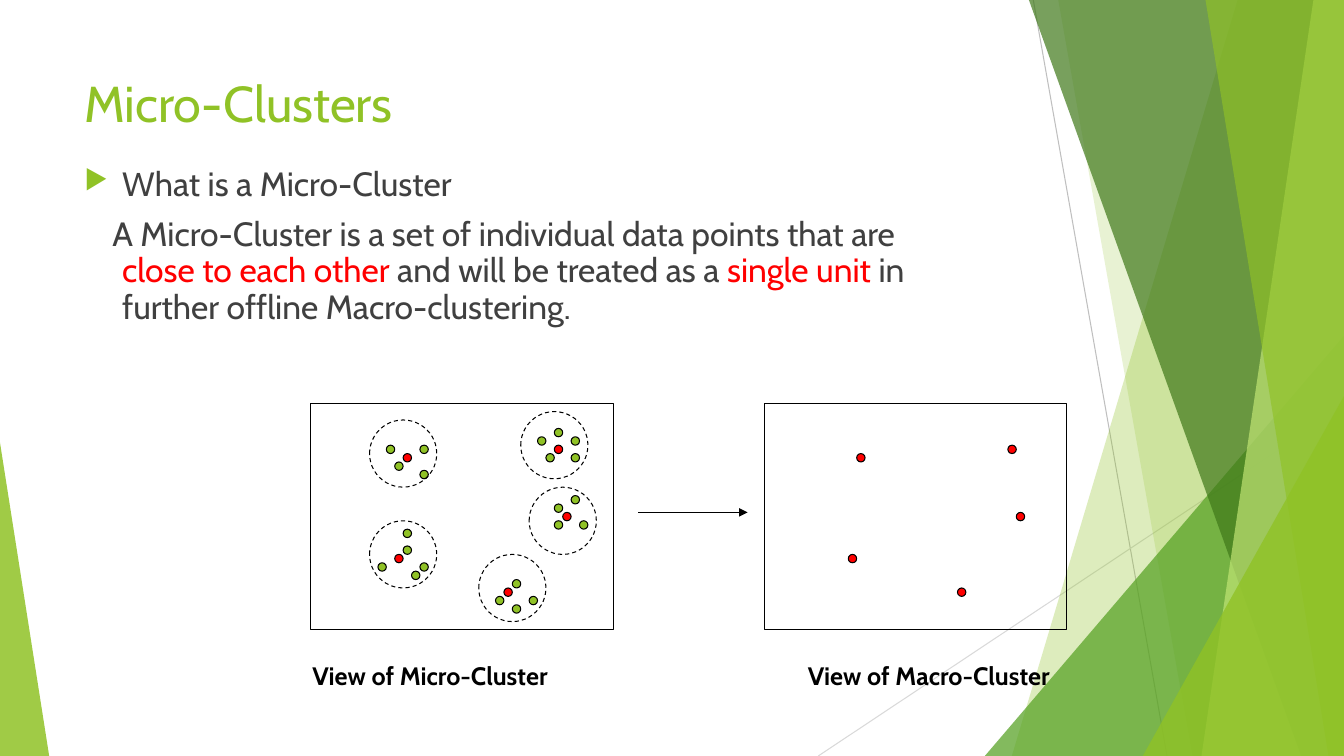
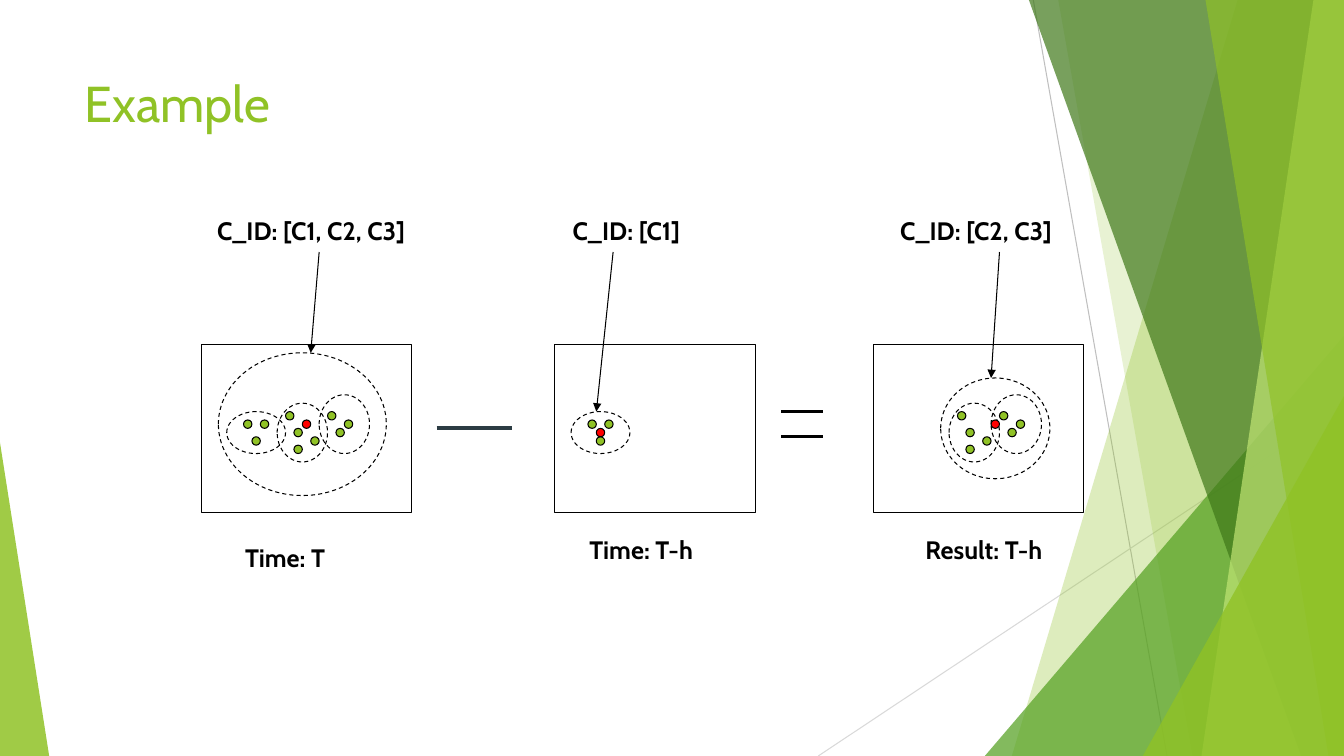
from dataclasses import dataclass

from lxml.etree import SubElement
from pptx import Presentation
from pptx.dml.color import RGBColor
from pptx.enum.dml import MSO_LINE
from pptx.enum.shapes import MSO_CONNECTOR, MSO_SHAPE
from pptx.enum.text import MSO_ANCHOR, MSO_AUTO_SIZE
from pptx.oxml.ns import qn
from pptx.util import Cm, Pt


@dataclass(frozen=True)
class Theme:
    font: str = "Cabin"
    green: str = "90C226"
    leaf: str = "54A021"
    forest: str = "3F7819"
    lime: str = "C0E474"
    red: str = "FF0000"
    body: str = "404040"
    black: str = "000000"
    slate: str = "2C3C43"
    ray: str = "BFBFBF"
    pale_ray: str = "D9D9D9"
    title_size: int = 36
    body_size: int = 24
    label_size: int = 18
    hairline: float = 0.75
    equals_line: float = 2
    minus_line: float = 2.75


THEME = Theme()
WIDTH, HEIGHT = 33.87, 19.05
GRID = 2.54 / 12

RAYS = [
    ((26.04, 0), (29.41, HEIGHT), THEME.ray),
    ((WIDTH, 10.24), (20.62, HEIGHT), THEME.pale_ray),
]
FACETS = [
    ("band", 31.19, 25.5, THEME.green, 30),
    ("band", 26.67, 30.05, THEME.green, 20),
    ("corner", 24.82, 8.46, THEME.leaf, 72),
    ("band", 25.93, 32.79, THEME.forest, 70),
    ("band", 33.1, 30.28, THEME.lime, 70),
    ("band", 30.38, 33.48, THEME.green, 65),
    ("corner", 28.8, 9.98, THEME.green, 80),
]
LEFT_WEDGE = (11.15, 1.24, THEME.green, 85)

QUESTION = "What is a Micro-Cluster"
DEFINITION = [
    ("A Micro-Cluster is a set of individual data points that are ", THEME.body),
    ("close to each other", THEME.red),
    (" and will be treated as a ", THEME.body),
    ("single unit", THEME.red),
    (" in further offline Macro-clustering.", THEME.body),
]

MICRO_VIEW = (37, 48, 36, 27)
MACRO_SHIFT = 54
RING = 8
MICRO_CLUSTERS = [
    {"ring": (44, 50), "centre": (48, 54),
     "points": [(46, 53), (50, 53), (47, 55), (50, 56)]},
    {"ring": (62, 49), "centre": (66, 53),
     "points": [(68, 52), (68, 54), (64, 52), (65, 54), (66, 51)]},
    {"ring": (63, 58), "centre": (67, 61),
     "points": [(68, 59), (66, 62), (66, 60), (69, 62)]},
    {"ring": (44, 62), "centre": (47, 66),
     "points": [(48, 65), (45, 67), (49, 68), (48, 63), (50, 67)]},
    {"ring": (57, 66), "centre": (60, 70),
     "points": [(61, 72), (63, 71), (59, 71), (61, 69)]},
]
VIEW_CAPTIONS = [
    ("View of Micro-Cluster", 36, 78, 37),
    ("View of Macro-Cluster", 95, 78, 37),
]
VIEW_ARROW = ((76, 61), (89, 61))

CLUSTERS = {
    "C1": {"ring": (27, 49, 7, 5), "points": [(29, 50), (31, 50), (30, 52)]},
    "C2": {"ring": (33, 48, 6, 7),
           "points": [(35, 53), (35, 51), (34, 49), (37, 52)]},
    "C3": {"ring": (38, 47, 6, 7), "points": [(39, 49), (40, 51), (41, 50)]},
}
SNAPSHOTS = [
    {"frame": (24, 41, 25, 20), "members": ["C1", "C2", "C3"], "shift": 0,
     "outer": (26, 42, 20, 17), "centre": (36, 50), "tick": (27, 58),
     "arrow": ((38, 30), (37, 42)),
     "labels": [(" C_ID: [C1, C2, C3]", 24, 25, 30), ("Time: T", 28, 64, 17)]},
    {"frame": (66, 41, 24, 20), "members": ["C1"], "shift": 41,
     "outer": None, "centre": (71, 51), "tick": (68, 58),
     "arrow": ((73, 30), (71, 49)),
     "labels": [("C_ID: [C1]", 67, 25, 16), ("Time: T-h", 69, 63, 17)]},
    {"frame": (104, 41, 25, 20), "members": ["C2", "C3"], "shift": 80,
     "outer": (112, 45, 13, 12), "centre": (118, 50), "tick": (107, 58),
     "arrow": ((119, 30), (118, 45)),
     "labels": [("C_ID: [C2, C3]", 106, 25, 23), ("Result: T-h", 109, 63, 21)]},
]
OPERATORS = [
    ((52, 51), (61, 51), THEME.slate, THEME.minus_line),
    ((93, 49), (98, 49), THEME.black, THEME.equals_line),
    ((93, 52), (98, 52), THEME.black, THEME.equals_line),
]


def rgb(code):
    return RGBColor.from_string(code)


def grid(*units):
    return [Cm(unit * GRID) for unit in units]


def style_font(font, size, color, bold=False):
    font.name, font.size, font.bold = THEME.font, Pt(size), bold
    font.color.rgb = rgb(color)


def add_line(slide, start, end, color=THEME.black, width=THEME.hairline, arrow=False):
    line = slide.shapes.add_connector(MSO_CONNECTOR.STRAIGHT, *start, *end)
    line.line.color.rgb = rgb(color)
    line.line.width = Pt(width)
    if arrow:
        SubElement(line.line._get_or_add_ln(), qn("a:tailEnd"), type="triangle")
    SubElement(line.element.spPr, qn("a:effectLst"))


def add_grid_line(slide, start, end, **style):
    add_line(slide, grid(*start), grid(*end), **style)


def add_outlined(slide, preset, box, fill=None, dashed=False):
    shape = slide.shapes.add_shape(preset, *grid(*box))
    shape.shadow.inherit = False
    shape.line.color.rgb = rgb(THEME.black)
    shape.line.width = Pt(THEME.hairline)
    if dashed:
        shape.line.dash_style = MSO_LINE.DASH
    if fill:
        shape.fill.solid()
        shape.fill.fore_color.rgb = rgb(fill)
    else:
        shape.fill.background()


def add_frame(slide, box):
    add_outlined(slide, MSO_SHAPE.RECTANGLE, box)


def add_ring(slide, box):
    add_outlined(slide, MSO_SHAPE.OVAL, box, dashed=True)


def add_dot(slide, spot, color):
    add_outlined(slide, MSO_SHAPE.OVAL, (*spot, 1, 1), fill=color)


def shifted(place, shift):
    return (place[0] + shift, *place[1:])


def add_cluster(slide, ring, points, shift=0):
    for point in points:
        add_dot(slide, shifted(point, shift), THEME.green)
    add_ring(slide, shifted(ring, shift))


def add_text_frame(slide, left, top, width, height):
    frame = slide.shapes.add_textbox(left, top, width, height).text_frame
    frame.word_wrap = True
    frame.vertical_anchor = MSO_ANCHOR.TOP
    return frame


def add_label(slide, text, left, top, width):
    frame = add_text_frame(slide, *grid(left, top, width), Cm(1.02))
    frame.auto_size = MSO_AUTO_SIZE.SHAPE_TO_FIT_TEXT
    frame.text = text
    style_font(frame.paragraphs[0].font, THEME.label_size, THEME.black, bold=True)


def add_title(slide, text):
    frame = add_text_frame(slide, Cm(1.88), Cm(1.7), Cm(23.88), Cm(3.66))
    frame.text = text
    style_font(frame.paragraphs[0].font, THEME.title_size, THEME.green)


def style_facet(facet, color, opacity):
    facet.shadow.inherit = False
    facet.line.fill.background()
    facet.fill.solid()
    facet.fill.fore_color.rgb = rgb(color)
    tint = facet.element.spPr.find(".//" + qn("a:srgbClr"))
    SubElement(tint, qn("a:alpha"), val=str(opacity * 1000))


def add_wedge(slide, left, top, width, apex):
    box = [Cm(length) for length in (left, top, width, HEIGHT - top)]
    wedge = slide.shapes.add_shape(MSO_SHAPE.ISOSCELES_TRIANGLE, *box)
    wedge.adjustments[0] = apex
    return wedge


def add_band(slide, top_x, bottom_x):
    outline = [(WIDTH, 0), (WIDTH, HEIGHT), (bottom_x, HEIGHT)]
    builder = slide.shapes.build_freeform(Cm(top_x), 0)
    builder.add_line_segments([(Cm(x), Cm(y)) for x, y in outline], close=True)
    return builder.convert_to_shape()


def decorate_layout(layout, slide):
    for placeholder in list(layout.placeholders):
        layout.shapes.element.remove(placeholder.element)
    for start, end, color in RAYS:
        add_line(slide, [Cm(n) for n in start], [Cm(n) for n in end], color)
    for kind, first, second, color, opacity in FACETS:
        if kind == "band":
            facet = add_band(slide, first, second)
        else:
            facet = add_wedge(slide, first, second, WIDTH - first, 1)
        style_facet(facet, color, opacity)
    top, width, color, opacity = LEFT_WEDGE
    style_facet(add_wedge(slide, 0, top, width, 0), color, opacity)
    for part in list(slide.shapes):
        layout.shapes.element.append(part.element)


def add_definition(slide):
    frame = add_text_frame(slide, Cm(1.88), Cm(4.09), Cm(22.66), Cm(5.08))
    question, definition = frame.paragraphs[0], frame.add_paragraph()
    question.text = QUESTION
    style_font(question.font, THEME.body_size, THEME.body)
    for text, color in DEFINITION:
        run = definition.add_run()
        run.text = text
        style_font(run.font, THEME.body_size, color)
    for paragraph, indent in ((question, -0.95), (definition, -0.25)):
        paragraph.line_spacing = 0.9
        paragraph.space_before = Pt(10)
        properties = paragraph._p.get_or_add_pPr()
        properties.set("marL", str(Cm(0.95)))
        properties.set("indent", str(Cm(indent)))
    properties = question._p.get_or_add_pPr()
    bullet_color = SubElement(properties, qn("a:buClr"))
    SubElement(bullet_color, qn("a:srgbClr"), val=THEME.green)
    SubElement(properties, qn("a:buSzPct"), val="80000")
    SubElement(properties, qn("a:buChar"), char="▶")
    for late in properties.findall(qn("a:defRPr")):
        properties.append(late)


def build_micro_clusters(slide):
    add_title(slide, "Micro-Clusters")
    add_definition(slide)
    for shift in (0, MACRO_SHIFT):
        add_frame(slide, shifted(MICRO_VIEW, shift))
    for cluster in MICRO_CLUSTERS:
        add_cluster(slide, (*cluster["ring"], RING, RING), cluster["points"])
        for shift in (0, MACRO_SHIFT):
            add_dot(slide, shifted(cluster["centre"], shift), THEME.red)
    add_grid_line(slide, *VIEW_ARROW, arrow=True)
    for caption in VIEW_CAPTIONS:
        add_label(slide, *caption)


def build_example(slide):
    add_title(slide, "Example")
    for snapshot in SNAPSHOTS:
        add_frame(slide, snapshot["frame"])
        for member in snapshot["members"]:
            add_cluster(slide, **CLUSTERS[member], shift=snapshot["shift"])
        if snapshot["outer"]:
            add_ring(slide, snapshot["outer"])
        add_dot(slide, snapshot["centre"], THEME.red)
        add_grid_line(slide, snapshot["tick"], snapshot["tick"], arrow=True)
        add_grid_line(slide, *snapshot["arrow"], arrow=True)
        for label in snapshot["labels"]:
            add_label(slide, *label)
    for start, end, color, width in OPERATORS:
        add_grid_line(slide, start, end, color=color, width=width)


def main():
    deck = Presentation()
    deck.slide_width, deck.slide_height = Cm(WIDTH), Cm(HEIGHT)
    blank = deck.slide_layouts[6]
    micro_clusters, example = [deck.slides.add_slide(blank) for _ in range(2)]
    decorate_layout(blank, micro_clusters)
    build_micro_clusters(micro_clusters)
    build_example(example)
    deck.save("out.pptx")


if __name__ == "__main__":
    main()
